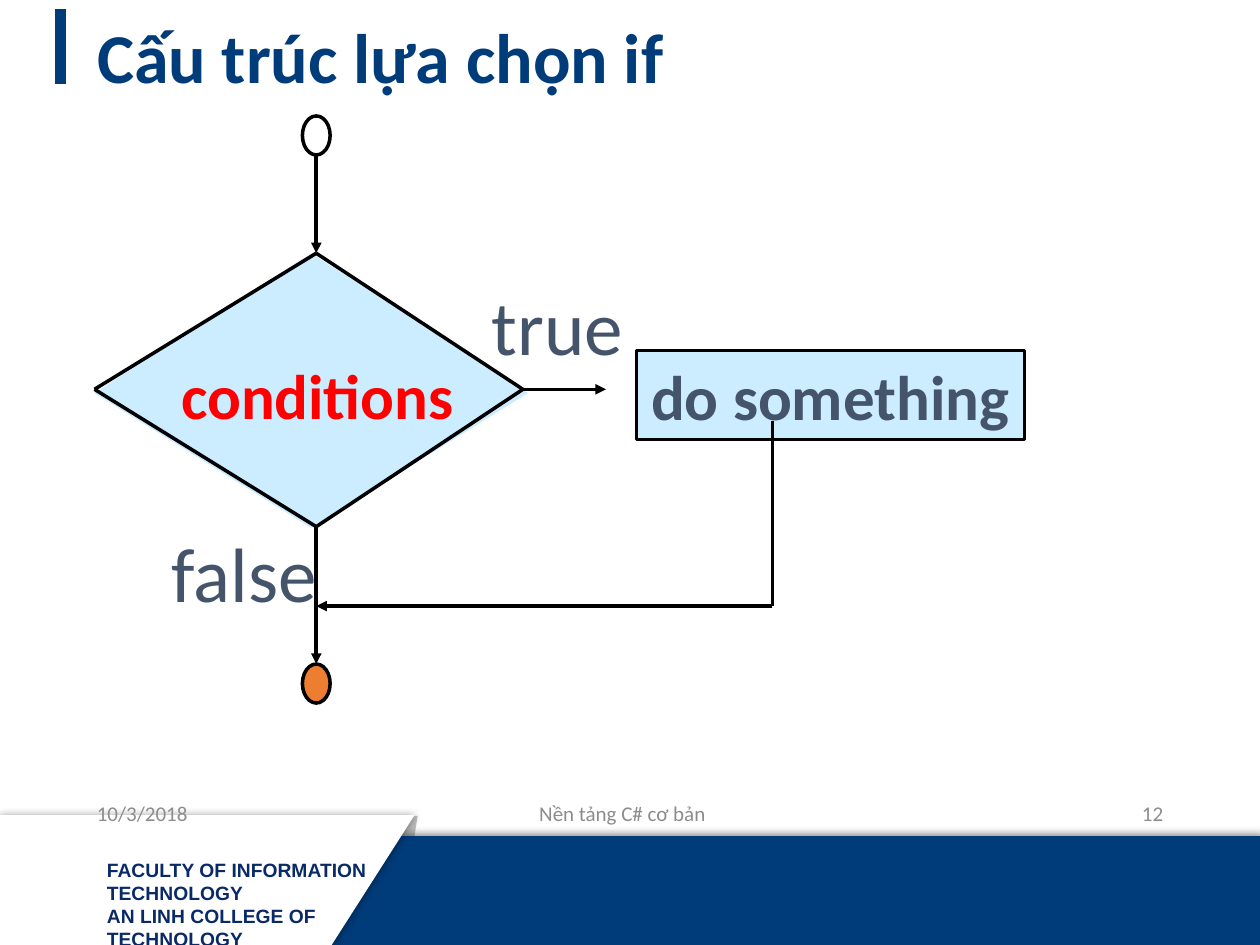
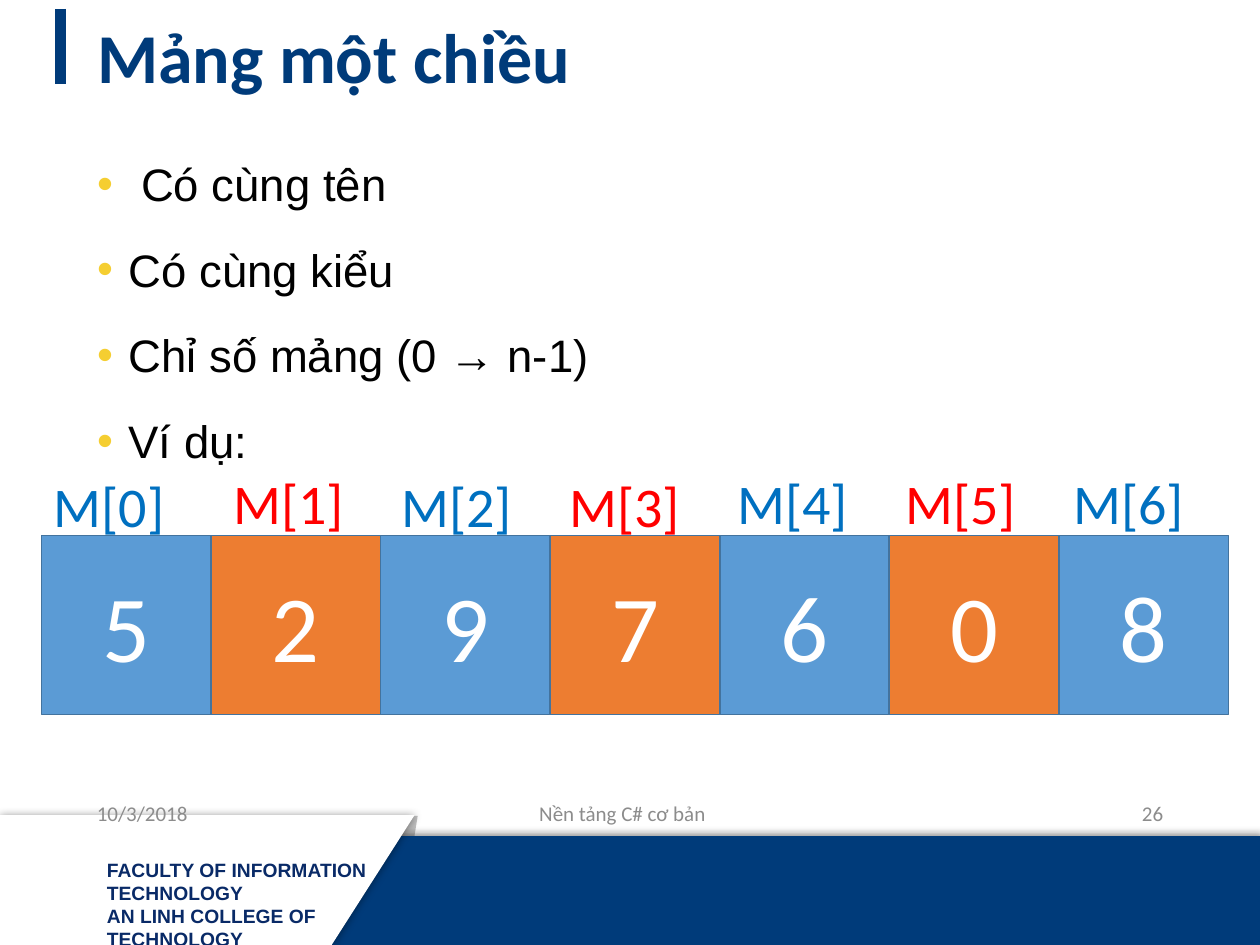
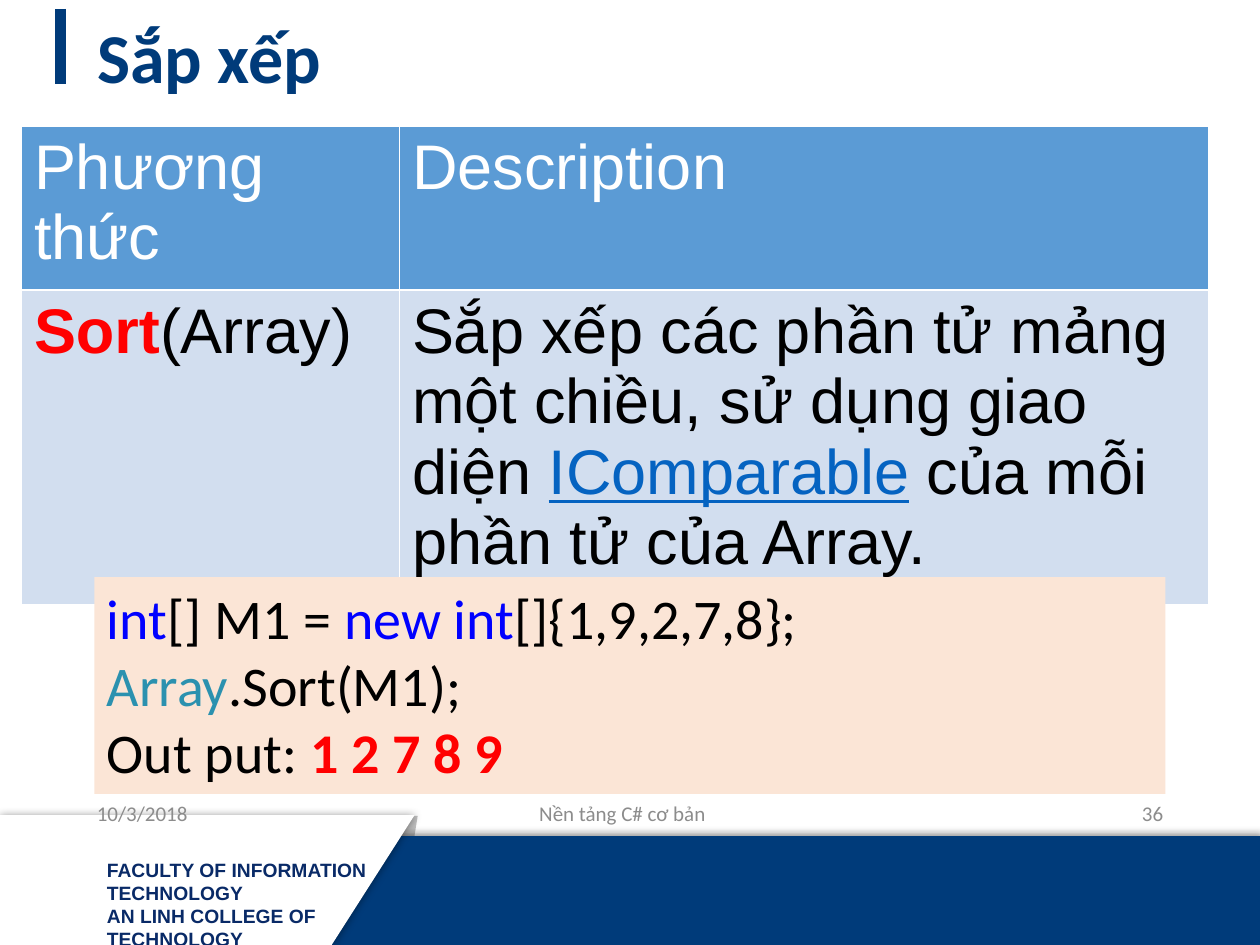
from dataclasses import dataclass

from lxml.etree import SubElement
from pptx import Presentation
from pptx.dml.color import RGBColor
from pptx.enum.shapes import MSO_CONNECTOR, MSO_SHAPE
from pptx.enum.text import MSO_ANCHOR, MSO_AUTO_SIZE, PP_ALIGN
from pptx.oxml.ns import qn
from pptx.util import Emu, Inches, Pt


@dataclass(frozen=True)
class Theme:
    navy: str = "003B7A"
    deep_navy: str = "092A67"
    white: str = "FFFFFF"
    black: str = "000000"
    fold: str = "BFBFBF"
    muted: str = "8C8C8C"
    slate: str = "44546A"
    ice: str = "CCECFF"
    red: str = "FF0000"
    orange: str = "ED7D31"
    sky: str = "5B9BD5"
    sky_line: str = "43739E"
    label: str = "0070C0"
    bullet: str = "F5CE31"
    table_body: str = "D2DEEF"
    peach: str = "FBE5D6"
    link: str = "0563C1"
    keyword: str = "0000FF"
    type_name: str = "2B91AF"
    heading_font: str = "Calibri"
    body_font: str = "Arial"
    title_size: int = 40
    footer_size: int = 12
    school_size: int = 11
    body_size: int = 26
    step_size: int = 36
    branch_size: int = 44
    value_size: int = 54
    label_size: int = 32
    table_size: int = 36
    code_size: int = 32


theme = Theme()

SCHOOL = ["FACULTY OF INFORMATION TECHNOLOGY", "AN LINH COLLEGE OF TECHNOLOGY"]
DATE = "10/3/2018"
COURSE = "Nền tảng C# cơ bản"

IF_SLIDE = ("Cấu trúc lựa chọn if", "12")
ARRAY_SLIDE = ("Mảng một chiều", "26")
SORT_SLIDE = ("Sắp xếp", "36")

BULLETS = [" Có cùng tên", "Có cùng kiểu", "Chỉ số mảng (0 → n-1)", "Ví dụ:"]
ARRAY_VALUES = [5, 2, 9, 7, 6, 0, 8]
LOWERED_LABELS = (0, 2, 3)

TABLE_HEADER = ["Phương thức", "Description"]
TABLE_BODY = [
    [("Sort", theme.red, True), ("(Array)", theme.black)],
    [("Sắp xếp các phần tử mảng một chiều, sử dụng giao diện ", theme.black),
     ("IComparable", theme.link, False, True),
     (" của mỗi phần tử của Array.", theme.black)],
]
CODE = [
    [("int", theme.keyword), ("[] M1 = ", theme.black),
     ("new int", theme.keyword), ("[]{1,9,2,7,8};", theme.black)],
    [("Array", theme.type_name), (".Sort(M1);", theme.black)],
    [("Out put: ", theme.black), ("1 2 7 8 9", theme.red, True)],
]


def colour(value):
    return RGBColor.from_string(value)


def box(*lengths):
    return [Inches(length) for length in lengths]


def write(frame, lines, size, font=theme.heading_font, align=PP_ALIGN.LEFT):
    for index, line in enumerate(lines):
        paragraph = frame.paragraphs[0] if index == 0 else frame.add_paragraph()
        paragraph.alignment = align
        for text, text_colour, *style in line:
            bold, underline = (style + [False, False])[:2]
            run = paragraph.add_run()
            run.text = text
            run.font.size = Pt(size)
            run.font.name = font
            run.font.bold = bold
            run.font.underline = underline
            run.font.color.rgb = colour(text_colour)


def add_text(shapes, at, lines, size, font=theme.heading_font, align=PP_ALIGN.LEFT,
             anchor=MSO_ANCHOR.TOP, wrap=True):
    shape = shapes.add_textbox(*box(*at))
    shape.text_frame.word_wrap = wrap
    shape.text_frame.vertical_anchor = anchor
    write(shape.text_frame, lines, size, font, align)
    return shape


def paint(shape, fill, line=None, width=1):
    shape.shadow.inherit = False
    shape.fill.solid()
    shape.fill.fore_color.rgb = colour(fill)
    if line:
        shape.line.color.rgb = colour(line)
        shape.line.width = Pt(width)
    else:
        shape.line.fill.background()
    return shape


def add_block(shapes, kind, at, fill, line=None, width=1):
    return paint(shapes.add_shape(kind, *box(*at)), fill, line, width)


def add_line(shapes, start, end, line=theme.black, width=2, arrow=False):
    connector = shapes.add_connector(MSO_CONNECTOR.STRAIGHT, *box(*start, *end))
    connector.line.color.rgb = colour(line)
    connector.line.width = Pt(width)
    properties = connector.element.spPr
    if arrow:
        SubElement(properties.find(qn("a:ln")), qn("a:tailEnd"), type="triangle")
    SubElement(properties, qn("a:effectLst"))
    return connector


def add_shadow(shape, blur, distance, degrees):
    effects = shape.element.spPr.find(qn("a:effectLst"))
    shadow = SubElement(effects, qn("a:outerShdw"), blurRad=str(Pt(blur)),
                        dist=str(Pt(distance)), dir=str(degrees * 60000), rotWithShape="0")
    tint = SubElement(shadow, qn("a:srgbClr"), val=theme.black)
    SubElement(tint, qn("a:alpha"), val="40000")


def add_tab(shapes, at, fill):
    tab = add_block(shapes, MSO_SHAPE.FLOWCHART_MANUAL_INPUT, at, fill)
    tab.rotation = 270
    tab.element.spPr.find(qn("a:xfrm")).set("flipV", "1")
    return tab


def decorate_master(presentation, slide):
    shapes = slide.shapes
    fold = add_tab(shapes, (2.39, 6.58, 1.03, 0.82), theme.fold)
    band = add_block(shapes, MSO_SHAPE.RECTANGLE, (-0.01, 6.64, 10.01, 0.86),
                     theme.navy, theme.navy)
    add_shadow(band, 4, 2, 270)
    tab = add_tab(shapes, (1.13, 5.34, 1.03, 3.29), theme.white)
    add_shadow(tab, 5, 0, 0)
    school = add_text(shapes, (0.75, 6.76, 2.3, 0.84),
                      [[(line, theme.deep_navy, True)] for line in SCHOOL],
                      theme.school_size, theme.body_font)
    accent = add_line(shapes, (0.48, 0.07), (0.48, 0.67), theme.navy, 6)
    master_tree = presentation.slide_master.shapes.element
    for number, shape in enumerate((fold, band, tab, school, accent), start=100):
        shape.element.xpath(".//p:cNvPr")[0].set("id", str(number))
        master_tree.append(shape.element)


def add_slide(presentation, layout, heading):
    title_text, number = heading
    slide = presentation.slides.add_slide(presentation.slide_layouts[layout])
    title = slide.shapes.title
    title.left, title.top, title.width, title.height = box(0.67, 0.04, 8.62, 0.88)
    title.text_frame.vertical_anchor = MSO_ANCHOR.MIDDLE
    write(title.text_frame, [[(title_text, theme.navy, True)]], theme.title_size)
    title.text_frame.paragraphs[0].line_spacing = 0.9
    footers = [(0.67, 2.25, DATE, PP_ALIGN.LEFT), (3.25, 3.38, COURSE, PP_ALIGN.CENTER),
               (7.08, 2.25, number, PP_ALIGN.RIGHT)]
    for left, width, text, align in footers:
        add_text(slide.shapes, (left, 6.25, width, 0.4), [[(text, theme.muted)]],
                 theme.footer_size, align=align, anchor=MSO_ANCHOR.MIDDLE)
    return slide


def draw_flowchart(slide):
    shapes = slide.shapes.add_group_shape().shapes
    top, right, bottom, left = (2.51, 2.01), (4.15, 3.09), (2.51, 4.18), (0.75, 3.09)
    join, action_exit = (2.51, 4.81), (6.13, 3.34)
    corner = (action_exit[0], join[1])

    action = add_block(shapes, MSO_SHAPE.RECTANGLE, (5.05, 2.78, 3.08, 0.71),
                       theme.ice, theme.black, 2)
    action.text_frame.word_wrap = False
    write(action.text_frame, [[("do something", theme.slate, True)]],
          theme.step_size, align=PP_ALIGN.CENTER)

    points = [box(*point) for point in ((2.47, 2.01), (0.75, 3.12), (2.47, 4.19), (4.19, 3.12))]
    builder = shapes.build_freeform(*points[0])
    builder.add_line_segments(points[1:], close=True)
    paint(builder.convert_to_shape(), theme.ice)
    corners = [top, right, bottom, left]
    for start, end in zip(corners, corners[1:] + corners[:1]):
        add_line(shapes, start, end)

    for start, end in ((top[0], 1.23), top), (bottom, (bottom[0], 5.27)), (right, (4.81, right[1])), (corner, join):
        add_line(shapes, start, end, arrow=True)
    add_line(shapes, corner, action_exit)
    for terminal_top, fill in ((0.92, theme.white), (5.27, theme.orange)):
        add_block(shapes, MSO_SHAPE.OVAL, (2.4, terminal_top, 0.22, 0.31),
                  fill, theme.black, 2)

    captions = [
        ((1.32, 2.78, 2.4, 0.71), ("conditions", theme.red, True), theme.step_size),
        ((3.8, 2.16, 1.25, 0.84), ("true", theme.slate), theme.branch_size),
        ((1.26, 4.12, 1.36, 0.84), ("false", theme.slate), theme.branch_size),
    ]
    for at, run, size in captions:
        add_text(shapes, at, [[run]], size, align=PP_ALIGN.CENTER, wrap=False)


def fill_bullets(slide):
    body = slide.placeholders[1]
    body.left, body.top, body.width, body.height = box(0.67, 1.08, 8.62, 2.83)
    write(body.text_frame, [[(text, theme.black)] for text in BULLETS],
          theme.body_size, theme.body_font)
    for paragraph in body.text_frame.paragraphs:
        paragraph.line_spacing = 1.25
        paragraph.space_before = Pt(10)
        properties = paragraph._p.get_or_add_pPr()
        properties.set("marL", str(Inches(0.25)))
        properties.set("indent", str(Inches(-0.25)))
        bullet_colour = SubElement(properties, qn("a:buClr"))
        SubElement(bullet_colour, qn("a:srgbClr"), val=theme.bullet)
        SubElement(properties, qn("a:buFont"), typeface=theme.body_font)
        SubElement(properties, qn("a:buChar"), char="•")


def draw_array(slide):
    cells = slide.shapes.add_group_shape().shapes
    pitch = 9.42 / len(ARRAY_VALUES)
    for index, value in enumerate(ARRAY_VALUES):
        odd = index % 2
        cell = add_block(cells, MSO_SHAPE.RECTANGLE, (0.33 + index * pitch, 4.25, pitch, 1.42),
                         theme.orange if odd else theme.sky, theme.sky_line)
        cell.text_frame.vertical_anchor = MSO_ANCHOR.MIDDLE
        write(cell.text_frame, [[(str(value), theme.white)]],
              theme.value_size, align=PP_ALIGN.CENTER)
        left = 0.42 + index * 4 / 3 if index else 0.33
        top = 3.69 if index in LOWERED_LABELS else 3.67
        add_text(slide.shapes, (left, top, 1.42, 0.64),
                 [[(f"M[{index}]", theme.red if odd else theme.label)]], theme.label_size)


def draw_table(slide):
    rows = [[[(text, theme.white)] for text in TABLE_HEADER], TABLE_BODY]
    table = slide.shapes.add_table(2, 2, *box(0.17, 1, 9.42, 3.55)).table
    for column, width in zip(table.columns, (3, 6.42)):
        column.width = Inches(width)
    for row, height in zip(table.rows, (1.21, 2.34)):
        row.height = Inches(height)
    for row, contents, fill in zip(table.rows, rows, (theme.sky, theme.table_body)):
        for cell, runs in zip(row.cells, contents):
            write(cell.text_frame, [runs], theme.table_size, theme.body_font)
            properties = cell._tc.get_or_add_tcPr()
            for side in ("lnL", "lnR", "lnT", "lnB"):
                border = SubElement(properties, qn(f"a:{side}"), w=str(Pt(1)))
                border_fill = SubElement(border, qn("a:solidFill"))
                SubElement(border_fill, qn("a:srgbClr"), val=theme.white)
            cell.fill.solid()
            cell.fill.fore_color.rgb = colour(fill)


def draw_code(slide):
    panel = add_block(slide.shapes, MSO_SHAPE.RECTANGLE, (0.75, 4.58, 8.5, 1.72), theme.peach)
    panel.text_frame.word_wrap = True
    panel.text_frame.auto_size = MSO_AUTO_SIZE.SHAPE_TO_FIT_TEXT
    panel.text_frame.vertical_anchor = MSO_ANCHOR.TOP
    write(panel.text_frame, CODE, theme.code_size)


TITLE_AND_BODY, TITLE_ONLY = 1, 5

presentation = Presentation()
presentation.slide_width, presentation.slide_height = box(10, 7.5)

if_slide = add_slide(presentation, TITLE_ONLY, IF_SLIDE)
decorate_master(presentation, if_slide)
draw_flowchart(if_slide)

array_slide = add_slide(presentation, TITLE_AND_BODY, ARRAY_SLIDE)
fill_bullets(array_slide)
draw_array(array_slide)

sort_slide = add_slide(presentation, TITLE_ONLY, SORT_SLIDE)
draw_table(sort_slide)
draw_code(sort_slide)

presentation.save("out.pptx")
